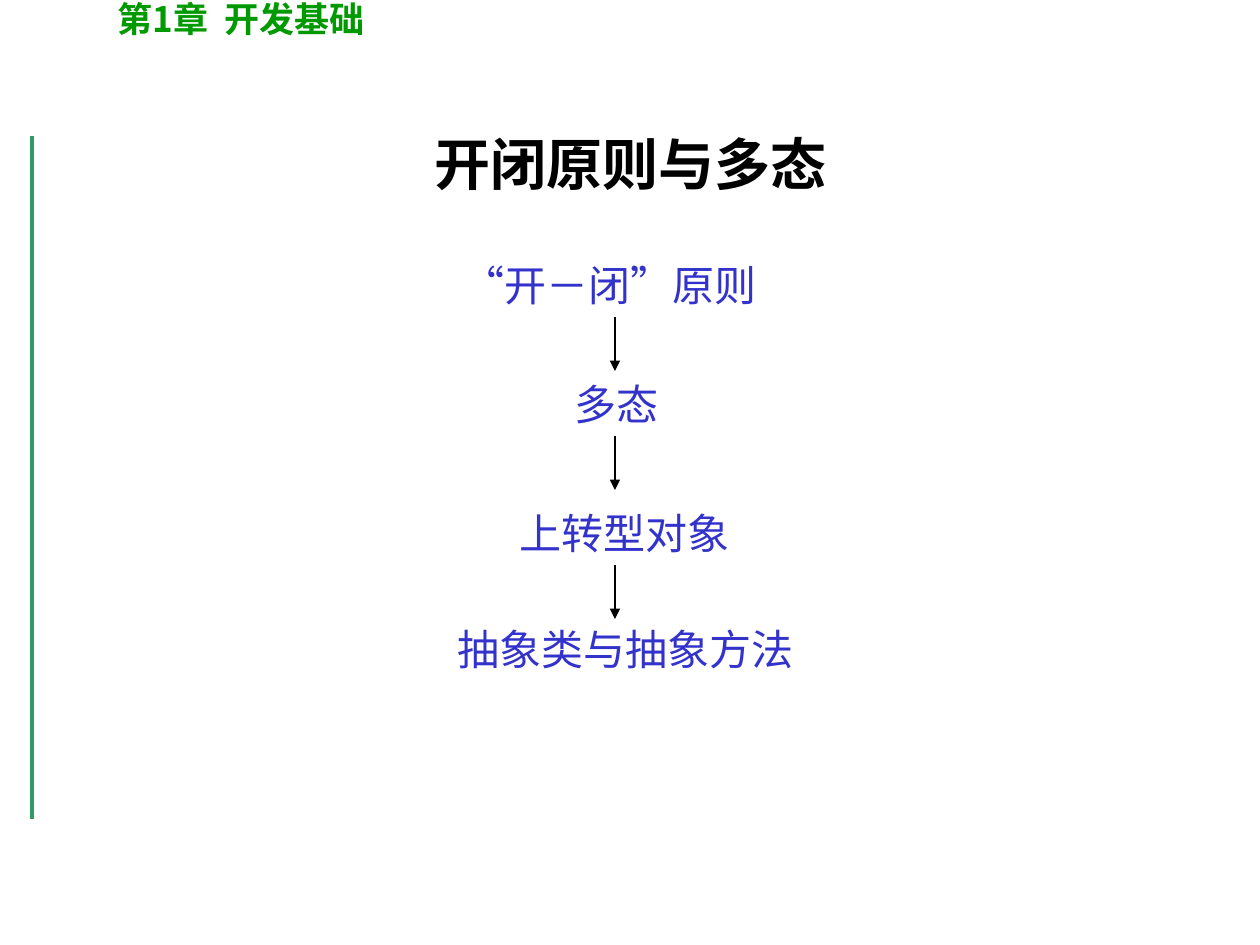
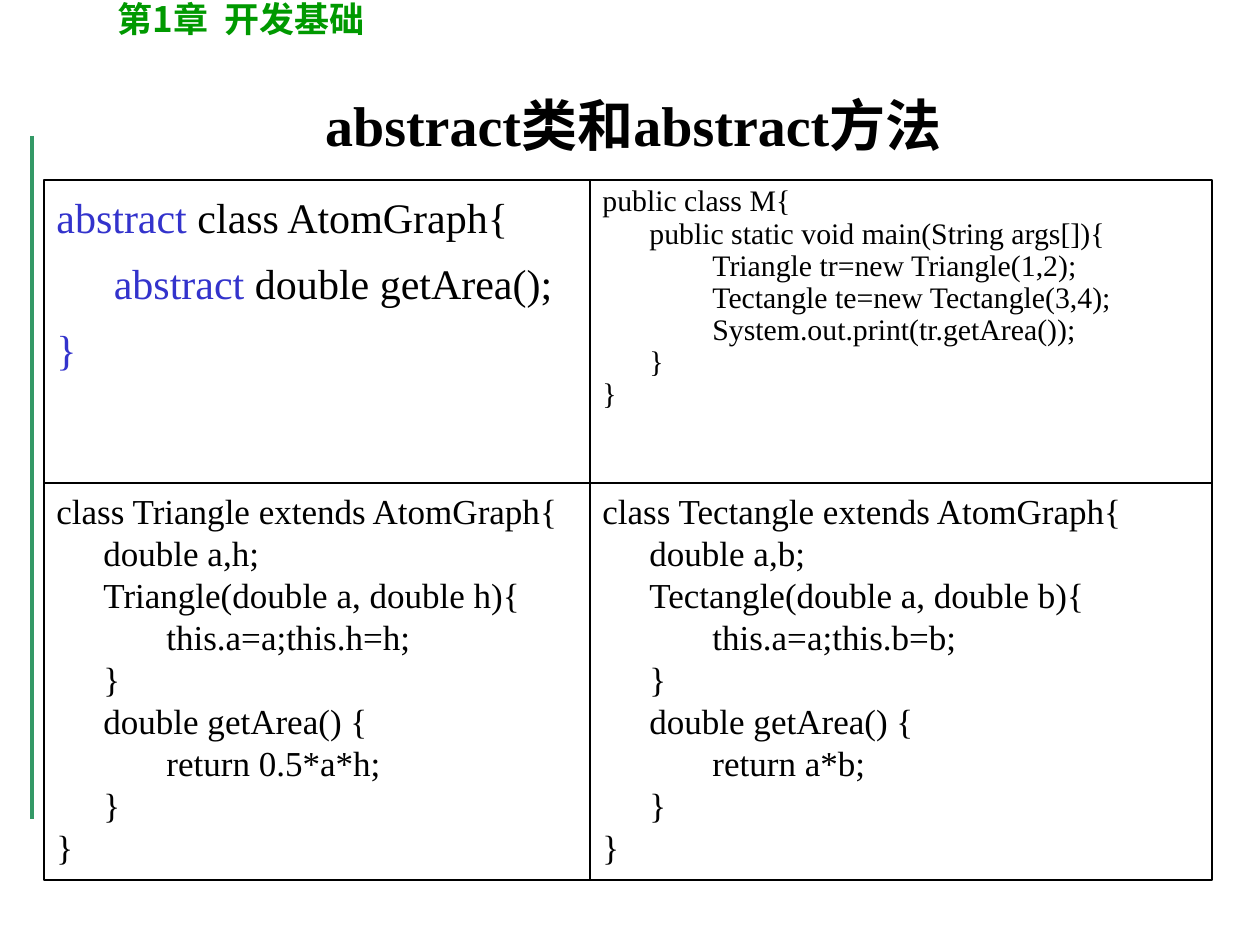
from lxml import etree
from pptx import Presentation
from pptx.dml.color import RGBColor
from pptx.enum.shapes import MSO_CONNECTOR, MSO_SHAPE
from pptx.enum.text import MSO_ANCHOR, PP_ALIGN
from pptx.oxml.ns import qn
from pptx.util import Pt

SCALE = 914400 / 126
STRAIGHT = MSO_CONNECTOR.STRAIGHT
RECT = MSO_SHAPE.RECTANGLE
TOP, MIDDLE = MSO_ANCHOR.TOP, MSO_ANCHOR.MIDDLE
LEFT, CENTER = PP_ALIGN.LEFT, PP_ALIGN.CENTER
BLACK, BLUE, GREEN, RULE = "000000", "3333CC", "009900", "339966"
SERIF, SANS = "Times New Roman", "Noto Sans CJK SC"
HANG = 47


def px(n):
    return round(n * SCALE)


def color(text):
    return RGBColor.from_string(text)


def add_run(para, text, size, tint, bold, face=SERIF, track=0):
    run = para.add_run()
    run.text = text
    font = run.font
    font.size, font.bold, font.name = Pt(size), bold, face
    font.color.rgb = color(tint)
    props = run._r.get_or_add_rPr()
    etree.SubElement(props, qn("a:ea"), typeface=SANS)
    if track:
        props.set("spc", str(track))


def write(shape, lines, size=20, tint=BLACK, bold=False, align=LEFT,
          anchor=TOP, pitch=None, gap=0, hang=0):
    frame = shape.text_frame
    frame.word_wrap = True
    frame.vertical_anchor = anchor
    for i, line in enumerate(lines):
        para = frame.paragraphs[0] if i == 0 else frame.add_paragraph()
        props = para._p.get_or_add_pPr()
        if hang:
            props.set("marL", str(px(hang)))
            props.set("indent", str(-px(hang)))
            tabs = etree.SubElement(props, qn("a:tabLst"))
            for stop in range(8):
                etree.SubElement(tabs, qn("a:tab"), pos=str(px(126 * stop)), algn="l")
        para.alignment = align
        if pitch:
            para.line_spacing = pitch
        if gap and i:
            para.space_before = Pt(gap)
        parts = [(line, {})] if isinstance(line, str) else line
        for text, extra in parts:
            add_run(para, text, **{"size": size, "tint": tint, "bold": bold, **extra})


def label(slide, box, lines, **form):
    write(slide.shapes.add_textbox(*map(px, box)), lines, **form)


def draw_line(slide, x, top, end, tint, width, arrow=False):
    line = slide.shapes.add_connector(STRAIGHT, px(x), px(top), px(x), px(end))
    line.line.color.rgb = color(tint)
    line.line.width = Pt(width)
    if arrow:
        etree.SubElement(line.line._get_or_add_ln(), qn("a:tailEnd"), type="triangle")
    etree.SubElement(line._element.spPr, qn("a:effectLst"))


def add_page(deck, title, left, top):
    slide = deck.slides.add_slide(deck.slide_layouts[6])
    draw_line(slide, 32, 136, 819, RULE, 2.25)
    sans = {"face": SANS}
    chapter = [("第", {}), ("1", sans), ("章", {}), (" ", {"face": SANS, "track": 450}),
               ("开发", sans), ("基础", {})]
    label(slide, (105, -9, 725, 55), [chapter], tint=GREEN, bold=True)
    label(slide, (left, top, 1071, 158), [title], size=32, bold=True,
          align=CENTER, anchor=MIDDLE)
    return slide


def add_flow(slide, left, top):
    sans = {"face": SANS}
    quote = [("“", {}), ("开－闭", sans), ("”", {}), ("原则", sans)]
    steps = [
        (9, 0, 333, LEFT, quote),
        (9, 119, 333, CENTER, "多态"),
        (0, 248, 367, CENTER, "上转型对象"),
        (4, 364, 367, LEFT, "抽象类与抽象方法"),
    ]
    for x, y, width, align, text in steps:
        label(slide, (left + x, top + y, width, 63), [text], size=24, tint=BLUE, align=align)
    for x, y, *rest in steps[:-1]:
        start = top + y + 64
        draw_line(slide, left + 174, start, start + 54, BLACK, 1, arrow=True)


def add_panel(slide, box, code, **form):
    panel = slide.shapes.add_shape(RECT, *map(px, box))
    panel.shadow.inherit = False
    panel.fill.background()
    panel.line.color.rgb = color(BLACK)
    panel.line.width = Pt(0.75)
    write(panel, code, hang=HANG, **form)


def class_code(name, side, area):
    return [
        f"class {name} extends AtomGraph{{",
        f"\tdouble a,{side};",
        f"\t{name}(double a, double {side}){{",
        f"\t\tthis.a=a;this.{side}={side};",
        "\t}",
        "\tdouble getArea() {",
        f"\t\treturn {area};",
        "\t}",
        "}",
    ]


def add_code(slide, left, top):
    blue = {"tint": BLUE}
    base = [
        [("abstract ", blue), ("class AtomGraph{", {})],
        [("\t abstract ", blue), ("double getArea();", {})],
        [("}", blue)],
    ]
    main = [
        "public class M{",
        "\tpublic static void main(String args[]){",
        "\t\tTriangle tr=new Triangle(1,2);",
        "\t\tTectangle te=new Tectangle(3,4);",
        "\t\tSystem.out.print(tr.getArea());",
        "\t}",
        "}",
    ]
    cols, rows = (546, 622), (303, 397)
    grid = [
        [(base, {"size": 24, "pitch": 1.1, "gap": 6}), (main, {"size": 17, "pitch": 0.9})],
        [(class_code("Triangle", "h", "0.5*a*h"), {}),
         (class_code("Tectangle", "b", "a*b"), {})],
    ]
    for r, row in enumerate(grid):
        for c, (code, form) in enumerate(row):
            box = (left + sum(cols[:c]), top + sum(rows[:r]), cols[c], rows[r])
            add_panel(slide, box, code, **form)


def main():
    deck = Presentation()
    deck.slide_width, deck.slide_height = px(1260), px(945)
    add_flow(add_page(deck, "开闭原则与多态", 95, 84), 441, 253)
    add_code(add_page(deck, "abstract类和abstract方法", 98, 45), 44, 180)
    deck.save("out.pptx")


if __name__ == "__main__":
    main()
